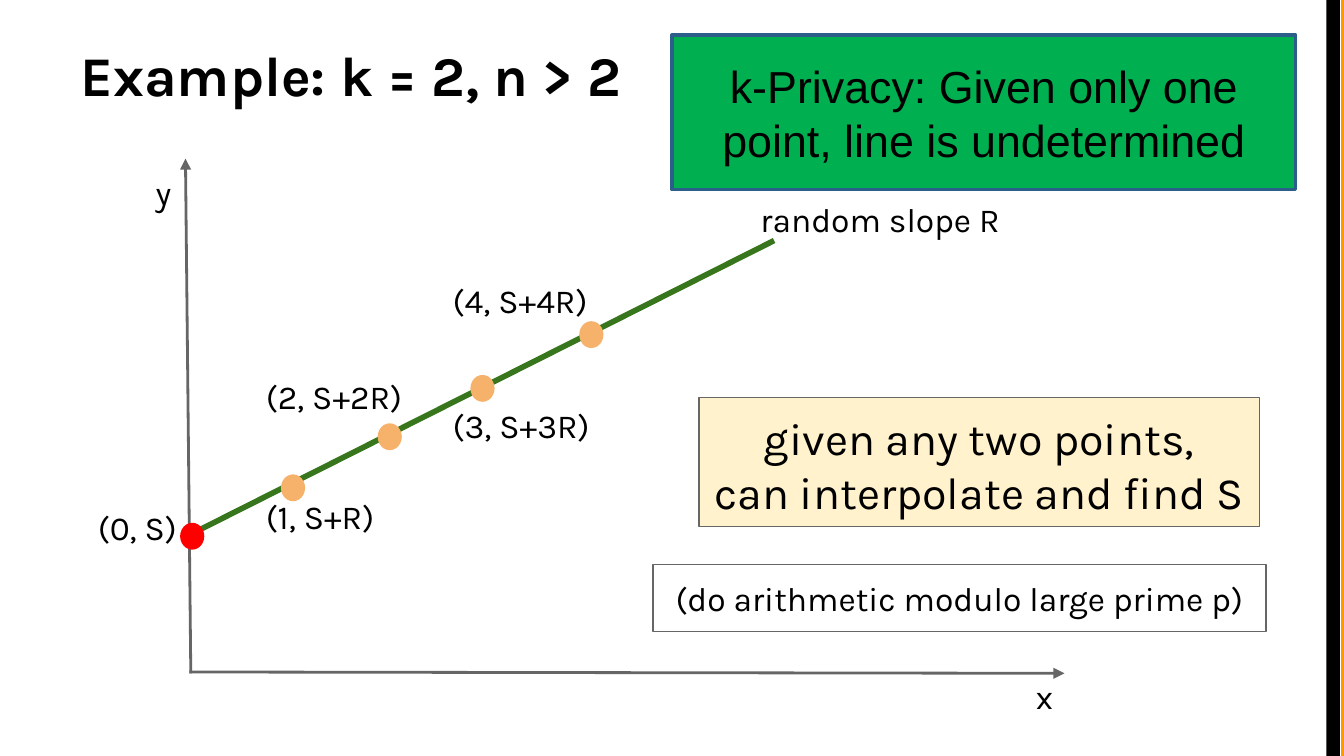
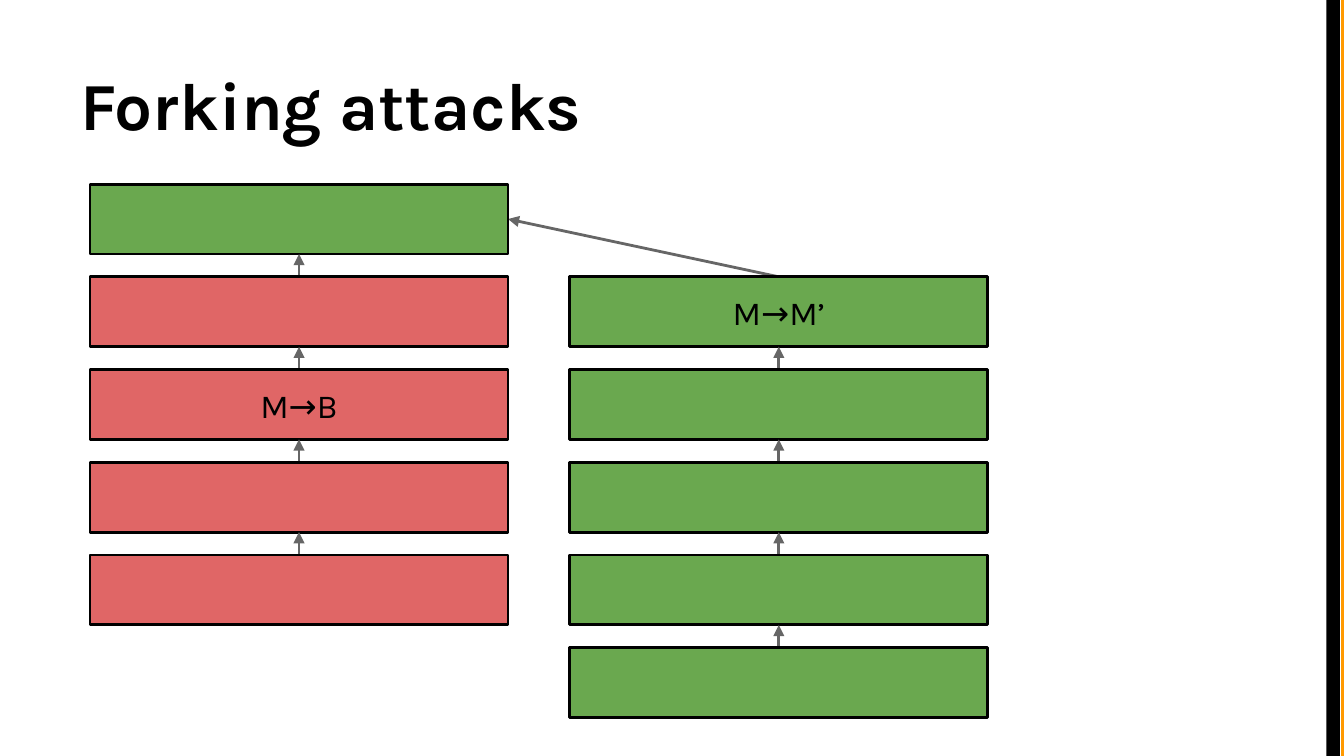
from lxml import etree
from pptx import Presentation
from pptx.dml.color import RGBColor
from pptx.enum.shapes import MSO_CONNECTOR, MSO_SHAPE
from pptx.enum.text import MSO_ANCHOR, PP_ALIGN
from pptx.oxml.ns import qn
from pptx.util import Inches, Pt

RECTANGLE, OVAL = MSO_SHAPE.RECTANGLE, MSO_SHAPE.OVAL
STRAIGHT = MSO_CONNECTOR.STRAIGHT
TOP, MIDDLE, BOTTOM = MSO_ANCHOR.TOP, MSO_ANCHOR.MIDDLE, MSO_ANCHOR.BOTTOM
LEFT, CENTER = PP_ALIGN.LEFT, PP_ALIGN.CENTER

SLIDE_WIDTH = 10
SLIDE_HEIGHT = SLIDE_WIDTH * 9 / 16
BLANK_LAYOUT = 6
FONT = "Karla"
COLORS = {
    "black": "000000",
    "white": "FFFFFF",
    "orange": "FF9900",
    "gray": "666666",
    "slope": "38761D",
    "secret": "FF0000",
    "share": "F6B26B",
    "cream": "FFF2CC",
    "privacy": "00B050",
    "privacy_edge": "2B5F8A",
    "honest": "6AA84F",
    "abandoned": "E06666",
}


def color(name):
    return RGBColor.from_string(COLORS[name])


def write(shape, text, size, anchor=TOP, align=LEFT, bold=False, font=FONT):
    frame = shape.text_frame
    frame.word_wrap = True
    frame.vertical_anchor = anchor
    frame.margin_left = frame.margin_right = Inches(0.1)
    frame.margin_top = frame.margin_bottom = Inches(0.1)
    frame.text = text
    for paragraph in frame.paragraphs:
        paragraph.alignment = align
        for run in paragraph.runs:
            run.font.name = font
            run.font.size = Pt(size)
            run.font.bold = bold
            run.font.color.rgb = color("black")


def add_label(slide, text, left, top, width, height=0.5, size=18, **style):
    label = slide.shapes.add_textbox(
        Inches(left), Inches(top), Inches(width), Inches(height))
    write(label, text, size, **style)


def add_box(slide, kind, left, top, width, height, fill=None, line=None, line_width=0.75):
    shape = slide.shapes.add_shape(
        kind, Inches(left), Inches(top), Inches(width), Inches(height))
    shape.shadow.inherit = False
    if fill:
        shape.fill.solid()
        shape.fill.fore_color.rgb = color(fill)
    else:
        shape.fill.background()
    if line:
        shape.line.color.rgb = color(line)
        shape.line.width = Pt(line_width)
    else:
        shape.line.fill.background()
    return shape


def add_line(slide, start, end, line="gray", width=1.5, arrow=True):
    connector = slide.shapes.add_connector(
        STRAIGHT, *(Inches(value) for value in (*start, *end)))
    connector.line.color.rgb = color(line)
    connector.line.width = Pt(width)
    if arrow:
        outline = connector.line._get_or_add_ln()
        etree.SubElement(outline, qn("a:tailEnd"), type="triangle")
    etree.SubElement(connector._element.spPr, qn("a:effectLst"))


def add_slide(presentation, title, title_height, title_size):
    """White slide with the bands at the right edge and a bold title."""
    slide = presentation.slides.add_slide(presentation.slide_layouts[BLANK_LAYOUT])
    slide.background.fill.solid()
    slide.background.fill.fore_color.rgb = color("white")
    for band_left, band_fill in ((9.98, "orange"), (9.87, "black")):
        add_box(slide, RECTANGLE, band_left, 0, 0.1, SLIDE_HEIGHT, band_fill)
    add_label(slide, title, 0.5, 0.23, 9, title_height, title_size,
              anchor=BOTTOM, bold=True)
    return slide


def build_secret_sharing(presentation):
    slide = add_slide(presentation, "Example: k = 2, n > 2", 0.67, 30)

    # Sloped line and axes
    add_line(slide, (1.41, 3.98), (5.76, 1.79), "slope", 3, arrow=False)
    add_line(slide, (1.41, 5), (7.92, 5.01))
    add_line(slide, (1.42, 5.01), (1.38, 1.18))
    add_label(slide, "x", 7.61, 4.93, 0.31)
    add_label(slide, "y", 1.06, 1.18, 0.31)
    add_label(slide, "random slope R", 5.56, 1.38, 2.11)

    # Points: dot left and top, fill, then label text, left, top and width
    points = [
        (1.34, 3.89, "secret", "(0, S)", 0.63, 3.67, 0.89),
        (2.09, 3.53, "share", "(1, S+R)", 1.88, 3.59, 1.13),
        (2.81, 3.15, "share", "(2, S+2R)", 1.88, 2.7, 1.31),
        (3.5, 2.79, "share", "(3, S+3R)", 3.27, 2.91, 1.31),
        (4.31, 2.39, "share", "(4, S+4R)", 3.27, 1.98, 1.31),
    ]
    for left, top, fill, *label in points:
        add_box(slide, OVAL, left, top, 0.18, 0.2, fill)
        add_label(slide, *label)

    # Remarks
    modulo = add_box(slide, RECTANGLE, 4.86, 4.2, 4.56, 0.5, line="gray")
    write(modulo, "(do arithmetic modulo large prime p)", 18, align=CENTER)
    interpolate = add_box(slide, RECTANGLE, 5.2, 2.96, 4.17, 0.96, "cream", "gray")
    write(interpolate, "given any two points,\ncan interpolate and find S", 24, align=CENTER)
    privacy = add_box(slide, RECTANGLE, 5, 0.26, 4.64, 1.15, "privacy", "privacy_edge", 2)
    write(privacy, "k-Privacy: Given only one point, line is undetermined", 24,
          anchor=MIDDLE, align=CENTER, font="Arial")


def build_forking_attacks(presentation):
    slide = add_slide(presentation, "Forking attacks", 0.94, 36)
    first_top, pitch, width, height = 1.37, 0.69, 3.11, 0.52
    main_left, fork_left = 0.67, 4.24

    def row_top(row):
        return first_top + row * pitch

    def add_chain(left, first_row, blocks):
        middle = left + width / 2
        for row, (fill, text) in enumerate(blocks, first_row):
            if row > first_row:
                add_line(slide, (middle, row_top(row)), (middle, row_top(row - 1) + height))
            block = add_box(slide, RECTANGLE, left, row_top(row), width, height,
                            fill, "black", 1.5)
            if text:
                write(block, text, 18, anchor=MIDDLE, align=CENTER)

    # Fork back to the shared block
    add_line(slide, (fork_left + width / 2, row_top(1)),
             (main_left + width, first_top + height / 2))

    # Abandoned chain and the longer fork
    add_chain(main_left, 0, [("honest", ""), ("abandoned", ""), ("abandoned", "M→B"),
                             ("abandoned", ""), ("abandoned", "")])
    add_chain(fork_left, 1, [("honest", "M→M’")] + [("honest", "")] * 4)


def main():
    presentation = Presentation()
    presentation.slide_width = Inches(SLIDE_WIDTH)
    presentation.slide_height = Inches(SLIDE_HEIGHT)
    build_secret_sharing(presentation)
    build_forking_attacks(presentation)
    presentation.save("out.pptx")


if __name__ == "__main__":
    main()
